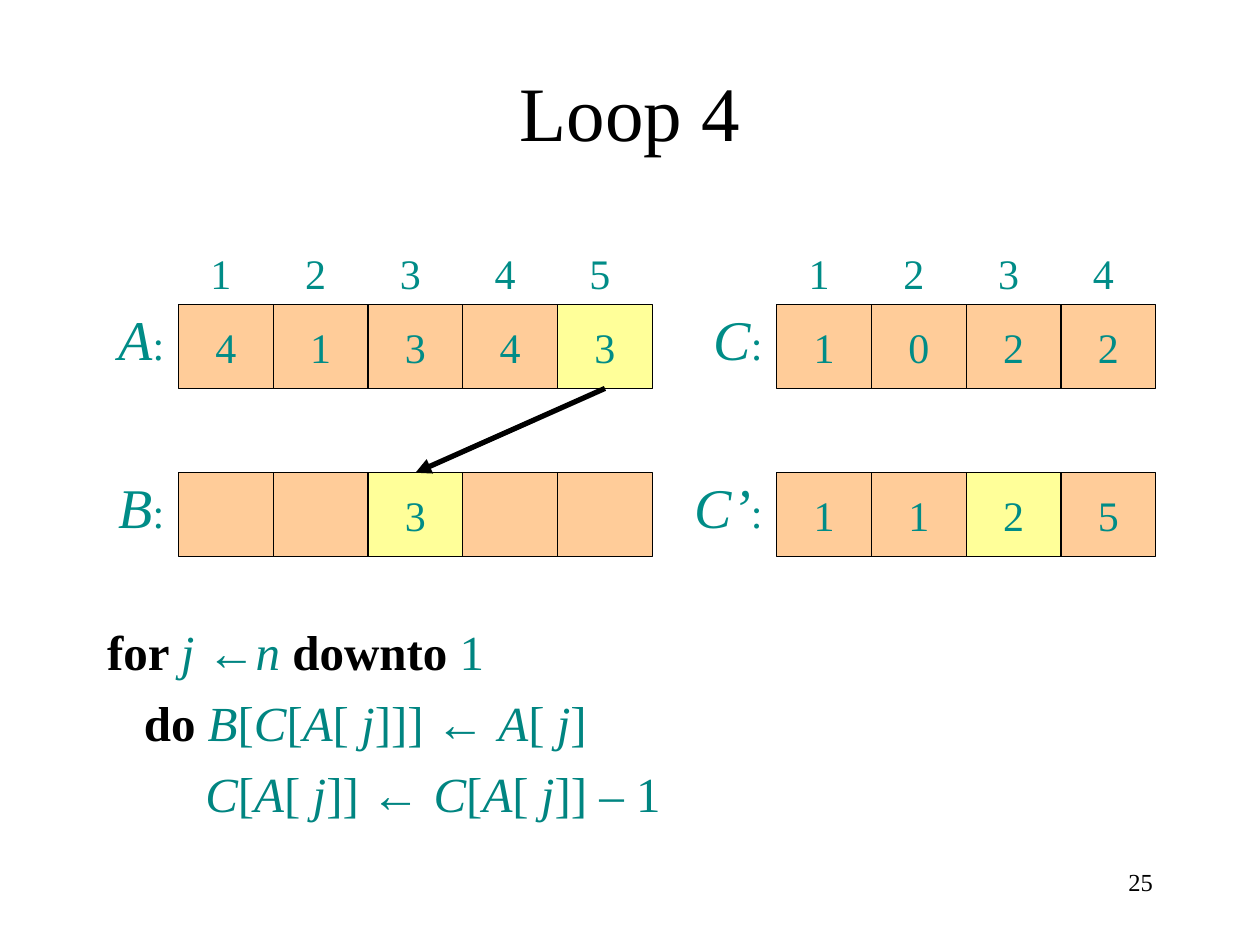
from dataclasses import dataclass

from lxml import etree
from pptx import Presentation
from pptx.dml.color import RGBColor
from pptx.enum.shapes import MSO_CONNECTOR, MSO_SHAPE
from pptx.enum.text import MSO_ANCHOR, PP_ALIGN
from pptx.oxml.ns import qn
from pptx.util import Cm, Pt

RECT, STRAIGHT = MSO_SHAPE.RECTANGLE, MSO_CONNECTOR.STRAIGHT
LEFT, CENTER, RIGHT = PP_ALIGN.LEFT, PP_ALIGN.CENTER, PP_ALIGN.RIGHT
TOP, MIDDLE = MSO_ANCHOR.TOP, MSO_ANCHOR.MIDDLE
BOTTOM_SITE, TOP_SITE = 2, 0
BLANK = 6


@dataclass(frozen=True)
class Theme:
    ink: str = "000000"
    teal: str = "008C87"
    code: str = "008581"
    cell: str = "FFCC99"
    marked: str = "FFFF99"
    serif: str = "Times New Roman"
    symbol: str = "Arial"
    title: int = 44
    label: int = 32
    listing: int = 28
    value: int = 24
    number: int = 14


T = Theme()
CELL_W, CELL_H = 1.91, 1.69
INSET = 0.25
KEYWORDS = {"for", "do", "downto"}
CODE = [  # indent in cm, runs separated by bars
    (0, "for |j |←|n |downto |1"),
    (0.74, "do |B|[|C|[|A|[ |j|]]] |← |A|[ |j|]"),
    (1.98, "C|[|A|[ |j|]] |← |C|[|A|[ |j|]] – 1"),
]


def rgb(value):
    return RGBColor.from_string(value)


def add_run(p, text, size, color=T.ink, font=T.serif, bold=False, italic=False):
    r = p.add_run()
    r.text = text
    f = r.font
    f.name, f.size, f.bold, f.italic = font, Pt(size), bold, italic
    f.color.rgb = rgb(color)


def add_box(slide, box, align=LEFT, anchor=TOP):
    """Add a wrapping text box and return its text frame."""
    tf = slide.shapes.add_textbox(*map(Cm, box)).text_frame
    tf.word_wrap = True
    tf.vertical_anchor = anchor
    tf.paragraphs[0].alignment = align
    return tf


def add_text(slide, box, text, align=LEFT, anchor=TOP, **fmt):
    tf = add_box(slide, box, align, anchor)
    add_run(tf.paragraphs[0], text, **fmt)
    return tf


def add_cell(slide, box, value, marked):
    sp = slide.shapes.add_shape(RECT, *map(Cm, box))
    sp.shadow.inherit = False
    sp.fill.solid()
    sp.fill.fore_color.rgb = rgb(T.marked if marked else T.cell)
    sp.line.color.rgb = rgb(T.ink)
    sp.line.width = Pt(0.75)
    if value:
        tf = sp.text_frame
        tf.vertical_anchor = MIDDLE
        p = tf.paragraphs[0]
        p.alignment = CENTER
        add_run(p, value, T.value, T.teal)
    return sp


def add_array(slide, x, y, name, values, marked=None):
    """Draw a named row of cells; marked is the index of the bright cell."""
    p = add_box(slide, (x - 2.54, y - 0.12, 2.5, 1.62), RIGHT).paragraphs[0]
    add_run(p, name, T.label, T.teal, italic=True)
    add_run(p, ":", T.value, T.teal)
    return [add_cell(slide, (x + i * CELL_W, y, CELL_W, CELL_H), v, i == marked)
            for i, v in enumerate(values)]


def add_indices(slide, x, y, count):
    """Number the cells of the row whose top is y, on centred tab stops."""
    text = "".join(f"\t{i + 1}" for i in range(count))
    tf = add_text(slide, (x, y - 1.27, count * CELL_W, 1.27), text,
                  size=T.value, color=T.teal)
    tabs = etree.SubElement(tf.paragraphs[0]._p.get_or_add_pPr(), qn("a:tabLst"))
    for i in range(count):
        pos = Cm((i + 0.5) * CELL_W - INSET - 0.1)
        etree.SubElement(tabs, qn("a:tab"), pos=str(pos), algn="ctr")


def add_arrow(slide, start, end):
    cx = slide.shapes.add_connector(STRAIGHT, 0, 0, 0, 0)
    cx.begin_connect(start, BOTTOM_SITE)
    cx.end_connect(end, TOP_SITE)
    cx.line.color.rgb = rgb(T.ink)
    cx.line.width = Pt(3)
    etree.SubElement(cx.line._get_or_add_ln(), qn("a:tailEnd"), type="triangle")
    etree.SubElement(cx._element.spPr, qn("a:effectLst"))


def run_style(text):
    word = text.strip()
    if word in KEYWORDS:
        return {"bold": True}
    if word == "←":
        return {"color": T.code, "font": T.symbol}
    return {"color": T.code, "italic": word.isalpha()}


def add_code(slide, box):
    tf = add_box(slide, box)
    for n, (indent, line) in enumerate(CODE):
        p = tf.add_paragraph() if n else tf.paragraphs[0]
        p._p.get_or_add_pPr().set("marL", str(Cm(indent)))
        if n:
            p.space_before = Pt(7)
        for text in line.split("|"):
            add_run(p, text, T.listing, **run_style(text))


def add_arrays(slide, x, y):
    """Draw input A, output B and the counters C and C’."""
    right, lower = x + 12.06, y + 3.39
    add_indices(slide, x, y, 5)
    add_indices(slide, right, y, 4)
    a = add_array(slide, x, y, "A", "41343", marked=4)
    b = add_array(slide, x, lower, "B", ["", "", "3", "", ""], marked=2)
    add_array(slide, right, y, "C", "1022")
    add_array(slide, right, lower, "C’", "1125", marked=2)
    add_arrow(slide, a[4], b[2])


def main():
    prs = Presentation()
    prs.slide_width, prs.slide_height = Cm(25.4), Cm(19.05)
    slide = prs.slides.add_slide(prs.slide_layouts[BLANK])

    # Title
    add_text(slide, (1.91, 0.64, 21.59, 3.18), "Loop 4", CENTER, MIDDLE, size=T.title)
    # Arrays
    add_arrays(slide, 3.6, 6.14)
    # Pseudocode
    add_code(slide, (1.91, 12.4, 21.59, 4.5))
    # Slide number
    add_text(slide, (18.21, 17.35, 5.28, 1.27), "25", RIGHT, size=T.number)

    prs.save("out.pptx")


if __name__ == "__main__":
    main()
